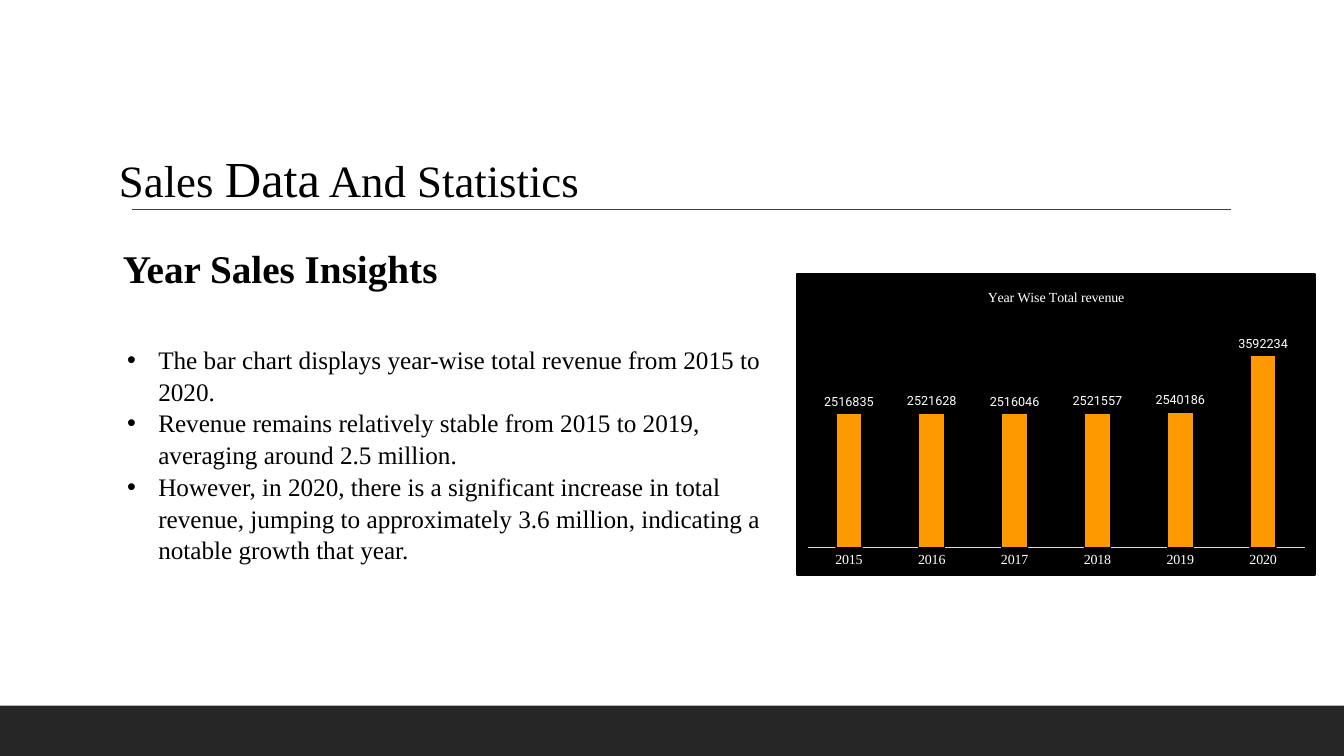
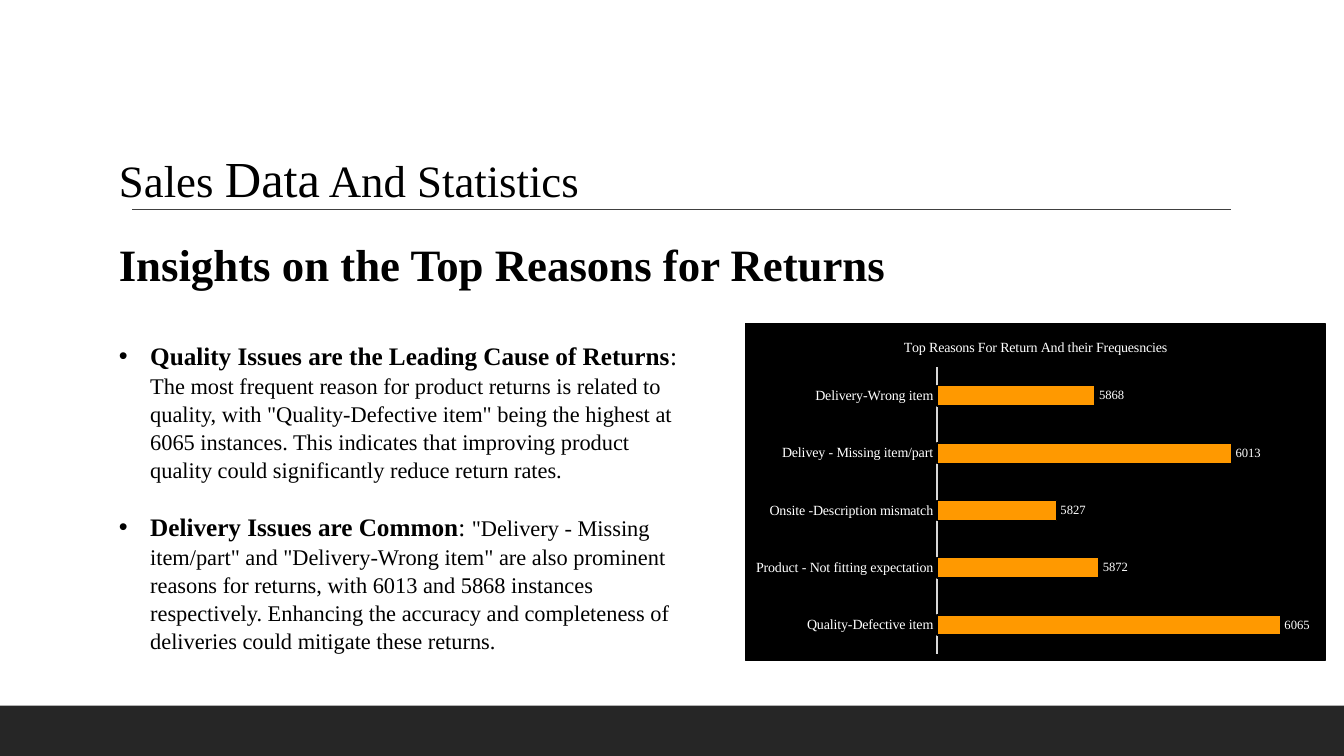
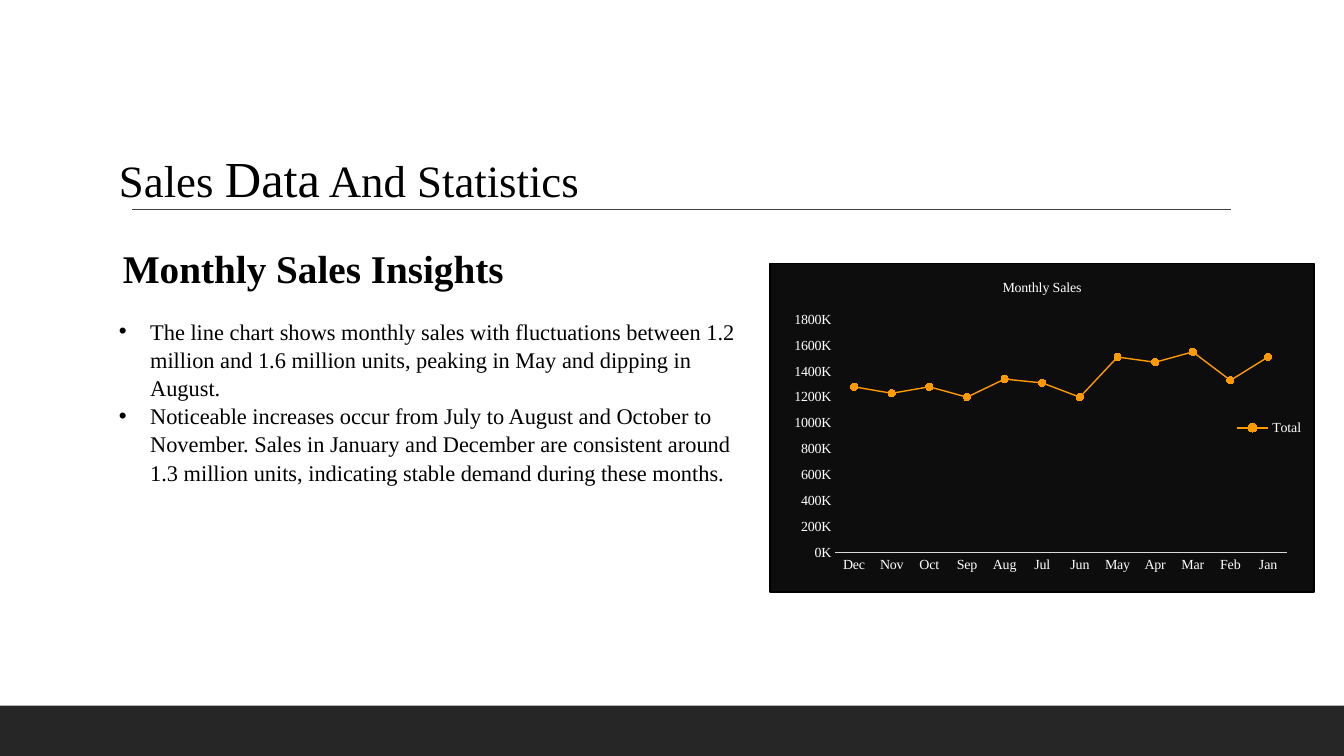
import pptx
import pptx.chart.data
import pptx.dml.color
import pptx.enum.chart
import pptx.enum.shapes
import pptx.enum.text
import pptx.oxml
import pptx.oxml.ns
import pptx.util

SERIF = "Times New Roman"
SANS = "Roboto"
BLACK = "000000"
WHITE = "FFFFFF"
ORANGE = "FF9900"
WIDTH = pptx.util.Inches(13.33)
HEIGHT = pptx.util.Inches(7.5)
TITLE_BOX = (8.1, 18.4, 50, 9.47)
BAND_BOX = (0, 93.33, 100, 6.67)
RULE_SPAN = (9.83, 91.6)
RULE_TOP = 27.73
INDENT = pptx.util.Inches(0.31)
LINE_SPACING = 1.05


def color(value):
    return pptx.dml.color.RGBColor.from_string(value)


def across(percent):
    return round(WIDTH * percent / 100)


def down(percent):
    return round(HEIGHT * percent / 100)


def box(left, top, width, height):
    return across(left), down(top), across(width), down(height)


def place(shape, percents):
    shape.left, shape.top, shape.width, shape.height = box(*percents)


def format_font(font, size, name=SERIF, fill=BLACK, bold=False):
    font.size = pptx.util.Pt(size)
    font.name = name
    font.bold = bold
    font.color.rgb = color(fill)


def add_text(paragraph, text, **style):
    run = paragraph.add_run()
    run.text = text
    format_font(run.font, **style)


def prepare_frame(shape, wrap=True):
    frame = shape.text_frame
    frame.word_wrap = wrap
    frame.auto_size = pptx.enum.text.MSO_AUTO_SIZE.SHAPE_TO_FIT_TEXT
    frame.vertical_anchor = pptx.enum.text.MSO_ANCHOR.TOP
    return frame


def fill_paragraph(paragraph, runs, gap=0):
    paragraph.alignment = pptx.enum.text.PP_ALIGN.LEFT
    paragraph.line_spacing = LINE_SPACING
    paragraph.space_before = pptx.util.Pt(gap)
    for text, size, bold in runs:
        add_text(paragraph, text, size=size, bold=bold)


def add_bullet(paragraph):
    properties = paragraph._p.get_or_add_pPr()
    properties.set("marL", str(INDENT))
    properties.set("indent", str(-INDENT))
    namespace = pptx.oxml.ns.nsdecls("a")
    for markup in (f'<a:buFont {namespace} typeface="Arial"/>', f'<a:buChar {namespace} char="•"/>'):
        properties.append(pptx.oxml.parse_xml(markup))


def share_decoration(slide):
    layout = slide.slide_layout
    place(layout.placeholders[0], TITLE_BOX)
    band = slide.shapes.add_shape(pptx.enum.shapes.MSO_SHAPE.RECTANGLE, *box(*BAND_BOX))
    band.shadow.inherit = False
    band.fill.solid()
    band.fill.fore_color.rgb = color("262626")
    band.line.fill.background()
    start, end = map(across, RULE_SPAN)
    rule = slide.shapes.add_connector(
        pptx.enum.shapes.MSO_CONNECTOR.STRAIGHT, start, down(RULE_TOP), end, down(RULE_TOP))
    rule.line.color.rgb = color("404040")
    rule.line.width = pptx.util.Pt(1)
    rule.element.spPr.append(pptx.oxml.parse_xml(f'<a:effectLst {pptx.oxml.ns.nsdecls("a")}/>'))
    for position, shape in enumerate((band, rule)):
        shape.element.xpath(".//p:cNvPr")[0].set("id", str(100 + position))
        layout.shapes.element.insert(2 + position, shape.element)


def add_sales_slide(presentation, heading, heading_size, heading_box, bullets, body_box, gap=0):
    slide = presentation.slides.add_slide(presentation.slide_layouts[1])
    title = prepare_frame(slide.shapes.title)
    fill_paragraph(title.paragraphs[0],
                   [("Sales ", 32, False), ("Data", 36, False), (" And Statistics", 32, False)])
    subtitle = prepare_frame(slide.shapes.add_textbox(*box(*heading_box)), wrap=False)
    fill_paragraph(subtitle.paragraphs[0], [(heading, heading_size, True)])
    body = slide.placeholders[1]
    place(body, body_box)
    frame = prepare_frame(body)
    for index, runs in enumerate(bullets):
        paragraph = frame.add_paragraph() if index else frame.paragraphs[0]
        fill_paragraph(paragraph, runs, gap if index else 0)
        add_bullet(paragraph)
    return slide


def set_chart_background(chart, fill):
    namespace = pptx.oxml.ns.nsdecls("c", "a")
    chart.element.find(pptx.oxml.ns.qn("c:chart")).addnext(pptx.oxml.parse_xml(
        f'<c:spPr {namespace}><a:solidFill><a:srgbClr val="{fill}"/></a:solidFill>'
        f'<a:ln w="12700"><a:solidFill><a:srgbClr val="{BLACK}"/></a:solidFill></a:ln></c:spPr>'))


def set_plot_layout(chart, shares):
    plot_area = chart.element.xpath(".//c:plotArea")[0]
    for layout in plot_area.findall(pptx.oxml.ns.qn("c:layout")):
        plot_area.remove(layout)
    sizes = "".join(f'<c:{name} val="{share}"/>' for name, share in zip("xywh", shares))
    plot_area.insert(0, pptx.oxml.parse_xml(
        f'<c:layout {pptx.oxml.ns.nsdecls("c")}><c:manualLayout><c:layoutTarget val="inner"/>'
        f'<c:xMode val="edge"/><c:yMode val="edge"/>{sizes}</c:manualLayout></c:layout>'))


def add_sales_chart(slide, kind, percents, title, series_name, points, scale, plot_shares, fill=BLACK):
    data = pptx.chart.data.CategoryChartData()
    data.categories = list(points)
    data.add_series(series_name, list(points.values()))
    chart = slide.shapes.add_chart(kind, *box(*percents), data).chart
    format_font(chart.font, 10, name=SANS)
    set_chart_background(chart, fill)
    set_plot_layout(chart, plot_shares)
    chart.has_legend = False
    chart.has_title = True
    add_text(chart.chart_title.text_frame.paragraphs[0], title, size=10, fill=WHITE)
    categories, values = chart.category_axis, chart.value_axis
    for axis in (categories, values):
        axis.has_major_gridlines = False
        axis.major_tick_mark = pptx.enum.chart.XL_TICK_MARK.NONE
        axis.minor_tick_mark = pptx.enum.chart.XL_TICK_MARK.NONE
        format_font(axis.tick_labels.font, 10, fill=WHITE)
    categories.format.line.color.rgb = color("D9D9D9")
    categories.format.line.width = pptx.util.Pt(0.75)
    values.format.line.fill.background()
    values.minimum_scale, values.maximum_scale, values.major_unit = scale
    chart.plots[0].vary_by_categories = False
    return chart


def style_bars(chart, gap, label_font, overlap=0):
    chart.value_axis.visible = False
    plot = chart.plots[0]
    plot.gap_width = gap
    plot.overlap = overlap
    bars = plot.series[0]
    bars.format.fill.solid()
    bars.format.fill.fore_color.rgb = color(ORANGE)
    bars.format.line.color.rgb = color(BLACK)
    bars.format.line.width = pptx.util.Pt(1)
    labels = bars.data_labels
    labels.show_value = True
    labels.position = pptx.enum.chart.XL_LABEL_POSITION.OUTSIDE_END
    format_font(labels.font, 9, name=label_font, fill=WHITE)


def style_line(chart):
    labels = chart.value_axis.tick_labels
    labels.number_format = '0,"K"'
    labels.number_format_is_linked = False
    chart.has_legend = True
    chart.legend.position = pptx.enum.chart.XL_LEGEND_POSITION.RIGHT
    chart.legend.include_in_layout = False
    format_font(chart.legend.font, 10, fill=WHITE)
    line = chart.plots[0].series[0]
    line.smooth = False
    line.format.line.color.rgb = color(ORANGE)
    line.format.line.width = pptx.util.Pt(1)
    line.marker.style = pptx.enum.chart.XL_MARKER_STYLE.CIRCLE
    line.marker.size = 5
    line.marker.format.fill.solid()
    line.marker.format.fill.fore_color.rgb = color("EC7016")
    line.marker.format.line.color.rgb = color(ORANGE)


def add_year_slide(presentation):
    sentences = (
        "The bar chart displays year-wise total revenue from 2015 to 2020.",
        "Revenue remains relatively stable from 2015 to 2019, averaging around 2.5 million.",
        "However, in 2020, there is a significant increase in total revenue, jumping to "
        "approximately 3.6 million, indicating a notable growth that year.")
    slide = add_sales_slide(
        presentation, "Year Sales Insights", 28, (8.4, 31.33, 25.2, 7.6),
        [[(sentence, 18, False)] for sentence in sentences], (8.7, 44.67, 50, 29.6))
    revenue = {"2015": 2516835, "2016": 2521628, "2017": 2516046,
               "2018": 2521557, "2019": 2540186, "2020": 3592234}
    chart = add_sales_chart(
        slide, pptx.enum.chart.XL_CHART_TYPE.COLUMN_CLUSTERED, (59.26, 36.13, 38.63, 40),
        "Year Wise Total revenue", "Series 1", revenue, (0, 4000000, 500000), (0.02, 0.2, 0.96, 0.71))
    style_bars(chart, 219, SANS, overlap=-27)
    return slide


def add_returns_slide(presentation):
    causes = (
        ("Quality Issues are the Leading Cause of Returns",
         "The most frequent reason for product returns is related to quality, with "
         '"Quality-Defective item" being the highest at 6065 instances. This indicates that '
         "improving product quality could significantly reduce return rates."),
        ("Delivery Issues are Common",
         '"Delivery - Missing item/part" and "Delivery-Wrong item" are also prominent reasons '
         "for returns, with 6013 and 5868 instances respectively. Enhancing the accuracy and "
         "completeness of deliveries could mitigate these returns."))
    slide = add_sales_slide(
        presentation, "Insights on the Top Reasons for Returns", 32, (8.1, 30.27, 59.1, 8.53),
        [[(cause, 18, True), (": ", 18, False), (detail, 16, False)] for cause, detail in causes],
        (8.1, 44.13, 43.21, 45.73), gap=19)
    reasons = {"Quality-Defective item": 6065, "Product - Not fitting expectation": 5872,
               "Onsite -Description mismatch": 5827, "Delivey - Missing item/part": 6013,
               "Delivery-Wrong item": 5868}
    chart = add_sales_chart(
        slide, pptx.enum.chart.XL_CHART_TYPE.BAR_CLUSTERED, (55.44, 42.67, 43.21, 44.8),
        "Top Reasons For Return And their Frequesncies", "Series 1", reasons,
        (5700, 6100, 50), (0.33, 0.13, 0.65, 0.85))
    style_bars(chart, 182, SERIF)


def add_month_slide(presentation):
    sentences = (
        "The line chart shows monthly sales with fluctuations between 1.2 million and "
        "1.6 million units, peaking in May and dipping in August.",
        "Noticeable increases occur from July to August and October to November. Sales in "
        "January and December are consistent around 1.3 million units, indicating stable "
        "demand during these months.")
    slide = add_sales_slide(
        presentation, "Monthly Sales Insights", 28, (8.4, 31.33, 30.15, 7.6),
        [[(sentence, 16, False)] for sentence in sentences], (8.1, 41.2, 49.13, 22.93))
    sales = {"Dec": 1280000, "Nov": 1230000, "Oct": 1280000, "Sep": 1200000,
             "Aug": 1340000, "Jul": 1310000, "Jun": 1200000, "May": 1510000,
             "Apr": 1470000, "Mar": 1550000, "Feb": 1330000, "Jan": 1510000}
    chart = add_sales_chart(
        slide, pptx.enum.chart.XL_CHART_TYPE.LINE_MARKERS, (57.24, 34.8, 40.59, 43.6),
        "Monthly Sales", "Total", sales, (0, 1800000, 200000), (0.12, 0.17, 0.83, 0.71), fill="0D0D0D")
    style_line(chart)


def main():
    presentation = pptx.Presentation()
    presentation.slide_width = WIDTH
    presentation.slide_height = HEIGHT
    share_decoration(add_year_slide(presentation))
    add_returns_slide(presentation)
    add_month_slide(presentation)
    presentation.save("out.pptx")


if __name__ == "__main__":
    main()
